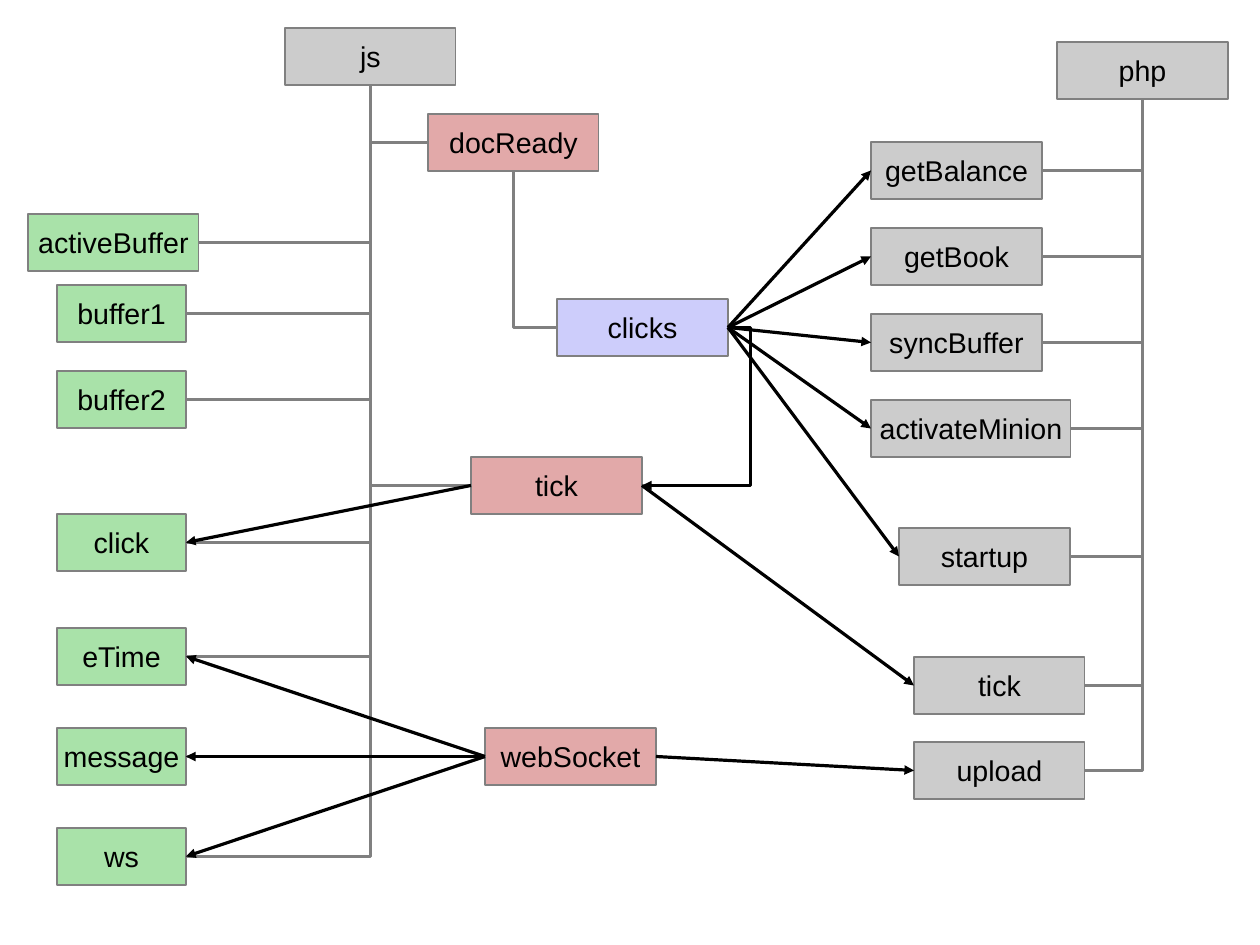
"""Draw a map of the calls between js buffers, handlers and php scripts."""
from lxml.etree import SubElement
from pptx import Presentation
from pptx.dml.color import RGBColor
from pptx.enum.shapes import MSO_CONNECTOR, MSO_SHAPE
from pptx.enum.text import MSO_ANCHOR, PP_ALIGN
from pptx.oxml.ns import qn
from pptx.util import Pt

PX = 8000
WIDE, SLIM, HIGH = 171, 129, 57
TOP, LEFT, BOTTOM, RIGHT = range(4)

BLACK = RGBColor(0x00, 0x00, 0x00)
GRAY = RGBColor(0x80, 0x80, 0x80)
SILVER = RGBColor(0xCC, 0xCC, 0xCC)
GREEN = RGBColor(0xA9, 0xE2, 0xA9)
RED = RGBColor(0xE2, 0xA9, 0xA9)
BLUE = RGBColor(0xCD, 0xCD, 0xFB)

STORES = [
    ("activeBuffer", 28, 214, WIDE),
    ("buffer1", 57, 285, SLIM),
    ("buffer2", 57, 371, SLIM),
    ("click", 57, 514, SLIM),
    ("eTime", 57, 628, SLIM),
    ("message", 57, 728, SLIM),
    ("ws", 57, 828, SLIM),
]
TASKS = [
    ("docReady", 428, 114, WIDE),
    ("tick", 471, 457, WIDE),
    ("webSocket", 485, 728, WIDE),
]
CALLS = [
    ("getBalance", 871, 142, WIDE),
    ("getBook", 871, 228, WIDE),
    ("syncBuffer", 871, 314, WIDE),
    ("activateMinion", 871, 400, 200),
    ("startup", 899, 528, WIDE),
    ("tick", 914, 657, WIDE),
    ("upload", 914, 742, WIDE),
]


def add_box(slide, color, text, left, top, width):
    """Add a filled box with a centred label."""
    box = slide.shapes.add_shape(
        MSO_SHAPE.RECTANGLE, left * PX, top * PX, width * PX, HIGH * PX)
    box.shadow.inherit = False
    box.fill.solid()
    box.fill.fore_color.rgb = color
    box.line.color.rgb = GRAY
    box.line.width = 0
    frame = box.text_frame
    frame.word_wrap = False
    frame.vertical_anchor = MSO_ANCHOR.MIDDLE
    label = frame.paragraphs[0]
    label.text = text
    label.alignment = PP_ALIGN.CENTER
    label.font.name = "Arial"
    label.font.size = Pt(18)
    label.font.color.rgb = BLACK
    return box


def add_group(slide, color, rows):
    """Add boxes of one colour and return them by label."""
    return {row[0]: add_box(slide, color, *row) for row in rows}


def add_link(slide, kind, color, start, exit, end, entry):
    """Join two boxes with a hairline connector."""
    link = slide.shapes.add_connector(kind, 0, 0, 0, 0)
    link.begin_connect(start, exit)
    link.end_connect(end, entry)
    link.line.color.rgb = color
    link.line.width = 0
    SubElement(link._element.spPr, qn("a:effectLst"))
    return link


def add_branch(slide, child, side, stem):
    """Join the side of a box to the bottom of its stem by one bend."""
    link = add_link(slide, MSO_CONNECTOR.ELBOW, GRAY,
                    child, side, stem, BOTTOM)
    link._element.spPr.find(qn("a:prstGeom")).set("prst", "bentConnector2")


def add_arrow(slide, start, exit, end, entry, kind=MSO_CONNECTOR.STRAIGHT):
    """Join two boxes with a black arrow."""
    link = add_link(slide, kind, BLACK, start, exit, end, entry)
    SubElement(link.line._get_or_add_ln(), qn("a:tailEnd"), type="triangle")
    return link


def add_loop(slide, start, end, bend):
    """Join the right sides of two boxes with an arrow that bends outside."""
    link = add_arrow(slide, start, RIGHT, end, RIGHT, MSO_CONNECTOR.ELBOW)
    shape = link._element.spPr.find(qn("a:prstGeom"))
    guides = shape.find(qn("a:avLst"))
    if guides is None:
        guides = SubElement(shape, qn("a:avLst"))
    SubElement(guides, qn("a:gd"), name="adj1", fmla=f"val {bend}")


def main():
    """Build the slide and save it."""
    deck = Presentation()
    deck.slide_width, deck.slide_height = 1260 * PX, 945 * PX
    slide = deck.slides.add_slide(deck.slide_layouts[6])

    front = add_box(slide, SILVER, "js", 285, 28, WIDE)
    back = add_box(slide, SILVER, "php", 1057, 42, WIDE)
    clicks = add_box(slide, BLUE, "clicks", 557, 299, WIDE)
    stores = add_group(slide, GREEN, STORES)
    tasks = add_group(slide, RED, TASKS)
    calls = add_group(slide, SILVER, CALLS)

    for box in stores.values():
        add_branch(slide, box, RIGHT, front)
    for box in tasks.values():
        add_branch(slide, box, LEFT, front)
    for box in calls.values():
        add_branch(slide, box, RIGHT, back)
    add_branch(slide, clicks, LEFT, tasks["docReady"])

    for name in ("getBalance", "getBook", "syncBuffer",
                 "activateMinion", "startup"):
        add_arrow(slide, clicks, RIGHT, calls[name], LEFT)
    for task, name in (("tick", "tick"), ("webSocket", "upload")):
        add_arrow(slide, tasks[task], RIGHT, calls[name], LEFT)
    for task, name in (("tick", "click"), ("webSocket", "eTime"),
                       ("webSocket", "message"), ("webSocket", "ws")):
        add_arrow(slide, tasks[task], LEFT, stores[name], RIGHT)
    add_loop(slide, clicks, tasks["tick"], -26200)

    deck.save("out.pptx")


if __name__ == "__main__":
    main()
